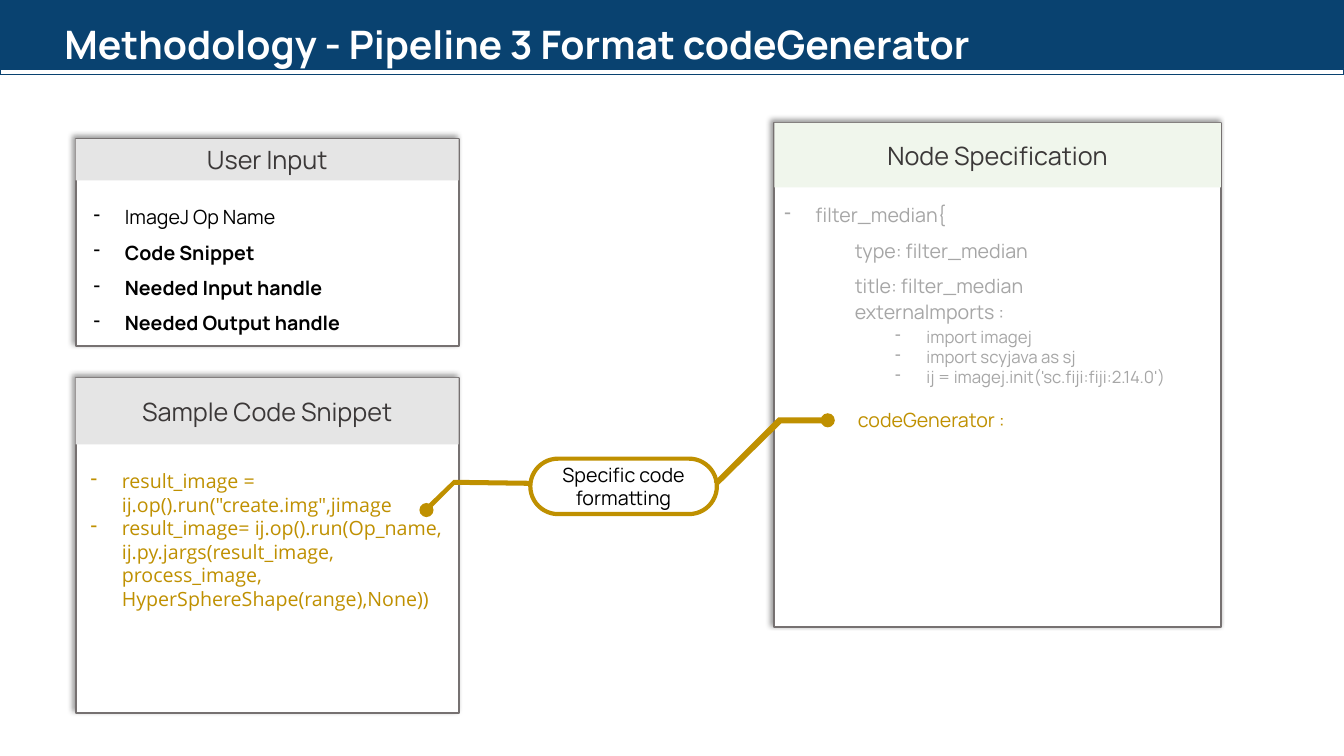
from dataclasses import dataclass

from lxml import etree
from pptx import Presentation
from pptx.dml.color import RGBColor
from pptx.enum.shapes import MSO_SHAPE
from pptx.enum.text import MSO_ANCHOR, PP_ALIGN
from pptx.oxml.ns import qn
from pptx.util import Inches, Pt

RECTANGLE, PILL = MSO_SHAPE.RECTANGLE, MSO_SHAPE.ROUNDED_RECTANGLE
TOP, MIDDLE = MSO_ANCHOR.TOP, MSO_ANCHOR.MIDDLE
LEFT, CENTER = PP_ALIGN.LEFT, PP_ALIGN.CENTER
COLORS = {"navy": "094270", "white": "FFFFFF", "black": "000000", "gold": "BF9000",
          "border": "767171", "heading": "3B3838", "muted": "A6A6A6",
          "gray_tint": "E5E5E5", "green_tint": "F0F6EC"}
HANGING = 0.31
FIELD_INDENT = 0.7


@dataclass
class Line:
    text: str
    bold: bool = False
    bullet: bool = True
    indent: float = HANGING


@dataclass
class Card:
    title: str
    left: float
    top: float
    width: float
    height: float
    header_height: float
    tint: str


@dataclass
class TextBlock:
    left: float
    top: float
    width: float
    height: float
    lines: list[Line]
    color: str
    size: float = 14
    font: str = "Manrope"
    spacing: float = 1.0
    anchor: MSO_ANCHOR = MIDDLE
    inset: float = 0


CARDS = [
    Card("User Input", 0.75, 1.38, 3.8, 2.05, 0.41, "gray_tint"),
    Card("Node Specification", 7.68, 1.22, 4.43, 5, 0.64, "green_tint"),
    Card("Sample Code Snippet", 0.75, 3.75, 3.8, 3.32, 0.66, "gray_tint"),
]
BLOCKS = [
    TextBlock(0.54, 0.15, 9.81, 0.57,
              [Line("Methodology - Pipeline 3 Format codeGenerator", True, False, 0)],
              "white", size=28, anchor=TOP, inset=0.05),
    TextBlock(0.83, 1.89, 3.71, 1.46,
              [Line("ImageJ Op Name"), Line("Code Snippet", True),
               Line("Needed Input handle", True), Line("Needed Output handle", True)],
              "black", spacing=1.5),
    TextBlock(7.68, 1.85, 4.32, 1.15,
              [Line("filter_median{"),
               Line("type: filter_median", bullet=False, indent=FIELD_INDENT),
               Line("title: filter_median", bullet=False, indent=FIELD_INDENT)],
              "muted", spacing=1.5),
    TextBlock(7.68, 2.82, 4.32, 0.43,
              [Line("externalmports :", bullet=False, indent=FIELD_INDENT)],
              "muted", spacing=1.5),
    TextBlock(8.78, 3.19, 3.22, 0.71,
              [Line("import imagej"), Line("import scyjava as sj"),
               Line("ij = imagej.init('sc.fiji:fiji:2.14.0')")],
              "muted", size=12, anchor=TOP, inset=0.05),
    TextBlock(7.71, 3.89, 4.32, 0.43,
              [Line("codeGenerator :", bullet=False, indent=FIELD_INDENT)],
              "gold", spacing=1.5),
    TextBlock(0.8, 4.67, 3.69, 1.37,
              [Line('result_image = ij.op().run("create.img",jimage'),
               Line("result_image= ij.op().run(Op_name, ij.py.jargs(result_image, "
                    "process_image, HyperSphereShape(range),None))")],
              "gold", font="Open Sans"),
]
# Each callout: the bent line's points, then the centre of its end dot.
CALLOUTS = [
    ([(7.08, 4.78), (7.72, 4.14), (8.21, 4.14), (8.21, 4.2), (7.75, 4.2), (7.12, 4.82)],
     (8.21, 4.17)),
    ([(4.21, 5.04), (4.5, 4.76), (5.25, 4.77), (5.25, 4.82), (4.51, 4.81), (4.25, 5.07)],
     (4.23, 5.06)),
]
DOT = 0.14


def rgb(name: str) -> RGBColor:
    return RGBColor.from_string(COLORS[name])


def paint(shape, fill: str | None, line: str | None = None, width: float = 1) -> None:
    shape.shadow.inherit = False
    if fill:
        shape.fill.solid()
        shape.fill.fore_color.rgb = rgb(fill)
    else:
        shape.fill.background()
    if line:
        shape.line.color.rgb = rgb(line)
        shape.line.width = Pt(width)
    else:
        shape.line.fill.background()


def add_box(slide, kind, left: float, top: float, width: float, height: float,
            fill: str | None, line: str | None = None, line_width: float = 1):
    box = slide.shapes.add_shape(kind, Inches(left), Inches(top),
                                 Inches(width), Inches(height))
    paint(box, fill, line, line_width)
    return box


def add_span(para, text: str, size: float, font: str, color: str, bold: bool = False) -> None:
    span = para.add_run()
    span.text = text
    span.font.size = Pt(size)
    span.font.name = font
    span.font.bold = bold
    span.font.color.rgb = rgb(color)


def label(shape, text: str, size: float, color: str, inset: float) -> None:
    frame = shape.text_frame
    frame.word_wrap = True
    frame.vertical_anchor = MIDDLE
    frame.margin_left = frame.margin_right = Inches(inset)
    frame.margin_top = frame.margin_bottom = Inches(0.04)
    frame.paragraphs[0].alignment = CENTER
    add_span(frame.paragraphs[0], text, size, "Manrope", color)


def add_shadow(shape) -> None:
    """Give the shape a soft shadow towards its upper left."""
    effects = shape._element.spPr.find(qn("a:effectLst"))
    shadow = etree.SubElement(effects, qn("a:outerShdw"), blurRad=str(Pt(4)),
                              dist=str(Pt(3)), dir=str(225 * 60000),
                              algn="br", rotWithShape="0")
    color = etree.SubElement(shadow, qn("a:srgbClr"), val=COLORS["black"])
    etree.SubElement(color, qn("a:alpha"), val="40000")


def add_card(slide, card: Card) -> None:
    panel = add_box(slide, RECTANGLE, card.left, card.top, card.width, card.height,
                    "white", "border", 1.5)
    add_shadow(panel)
    header = add_box(slide, RECTANGLE, card.left, card.top, card.width,
                     card.header_height, card.tint)
    label(header, card.title, 18, "heading", 0.1)


def add_block(slide, block: TextBlock) -> None:
    box = slide.shapes.add_textbox(Inches(block.left), Inches(block.top),
                                   Inches(block.width), Inches(block.height))
    frame = box.text_frame
    frame.word_wrap = True
    frame.vertical_anchor = block.anchor
    frame.margin_top = frame.margin_bottom = Inches(block.inset)
    for index, line in enumerate(block.lines):
        para = frame.add_paragraph() if index else frame.paragraphs[0]
        para.alignment = LEFT
        para.line_spacing = block.spacing
        properties = para._p.get_or_add_pPr()
        properties.set("marL", str(Inches(line.indent)))
        if line.bullet:
            properties.set("indent", str(-Inches(line.indent)))
            etree.SubElement(properties, qn("a:buChar"), char="-")
        add_span(para, line.text, block.size, block.font, block.color, line.bold)


def add_callout(slide, points: list, dot_center: tuple) -> None:
    builder = slide.shapes.build_freeform(Inches(points[0][0]), Inches(points[0][1]))
    builder.add_line_segments([(Inches(x), Inches(y)) for x, y in points[1:]])
    paint(builder.convert_to_shape(), "gold")
    x, y = dot_center
    add_box(slide, MSO_SHAPE.OVAL, x - DOT / 2, y - DOT / 2, DOT, DOT, "gold")


def main() -> None:
    deck = Presentation()
    deck.slide_width, deck.slide_height = Inches(13.33), Inches(7.5)
    slide = deck.slides.add_slide(deck.slide_layouts[6])
    add_box(slide, RECTANGLE, 0, -0.01, 13.33, 0.69, "navy", "navy", 0.75)
    add_box(slide, RECTANGLE, 0, 0.69, 13.33, 0.05, "white", "navy", 1)
    for card in CARDS:
        add_card(slide, card)
    pill = add_box(slide, PILL, 5.26, 4.55, 1.85, 0.55, None, "gold", 3)
    pill.adjustments[0] = 0.5
    label(pill, "Specific code formatting", 14, "black", 0.04)
    for block in BLOCKS:
        add_block(slide, block)
    for points, dot_center in CALLOUTS:
        add_callout(slide, points, dot_center)


    deck.save("out.pptx")


if __name__ == "__main__":
    main()
